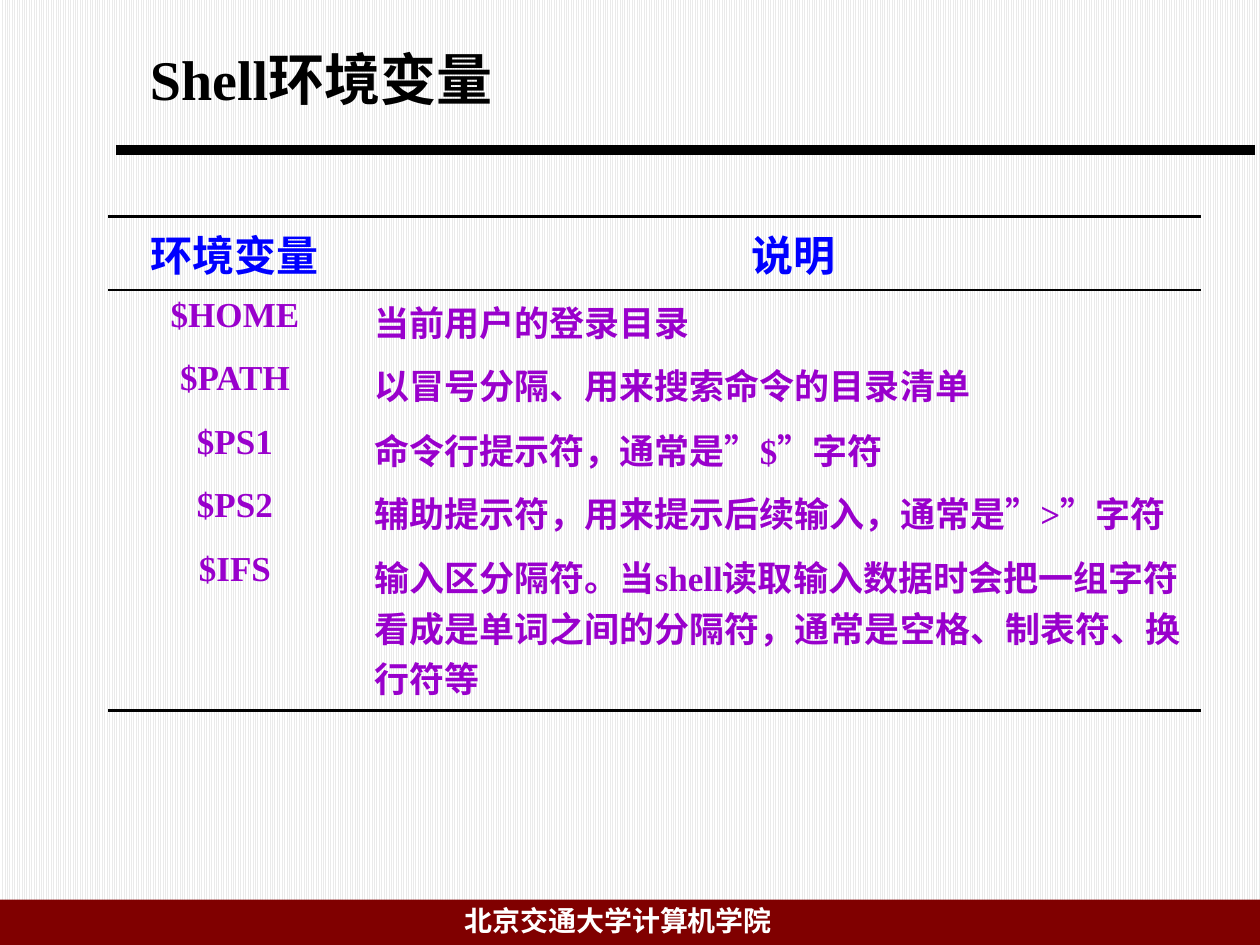
from dataclasses import dataclass

from lxml import etree
from pptx import Presentation
from pptx.dml.color import RGBColor
from pptx.enum import dml, lang, shapes, text
from pptx.oxml import ns
from pptx.util import Inches, Pt


@dataclass
class Theme:
    font: str = "Times New Roman"
    ink: str = "000000"
    paper: str = "FFFFFF"
    stripe: str = "EAEAEA"
    band: str = "800000"
    head: str = "0000FF"
    body: str = "9900CC"
    title_size: int = 32
    head_size: int = 24
    body_size: int = 20
    foot_size: int = 16


theme = Theme()


def write(frame, words, size, color, align=text.PP_ALIGN.LEFT):
    para = frame.paragraphs[0]
    para.alignment = align
    run = para.add_run()
    run.text = words
    font = run.font
    font.name, font.size, font.bold = theme.font, Pt(size), True
    font.color.rgb = RGBColor.from_string(color)
    font.language_id = lang.MSO_LANGUAGE_ID.SIMPLIFIED_CHINESE


def edge(cell, side, width):
    """Draw one cell border; a width of 0 hides it."""
    props = cell._tc.get_or_add_tcPr()
    line = etree.SubElement(props, ns.qn("a:ln" + side), w=str(Pt(width)))
    if width:
        fill = etree.SubElement(line, ns.qn("a:solidFill"))
        etree.SubElement(fill, ns.qn("a:srgbClr"), val=theme.ink)
    else:
        etree.SubElement(line, ns.qn("a:noFill"))


deck = Presentation()
deck.slide_width, deck.slide_height = Inches(10), Inches(7.5)
slide = deck.slides.add_slide(deck.slide_layouts[5])

# Striped background
back = slide.background.fill
back.patterned()
back.pattern = dml.MSO_PATTERN.LIGHT_VERTICAL
back.fore_color.rgb = RGBColor.from_string(theme.stripe)
back.back_color.rgb = RGBColor.from_string(theme.paper)

# Title and the rule below it
title = slide.shapes.title
title.left, title.top = Inches(1.09), Inches(0.3)
title.width, title.height = Inches(8.41), Inches(1.25)
frame = title.text_frame
frame.auto_size = text.MSO_AUTO_SIZE.NONE
frame.vertical_anchor = text.MSO_ANCHOR.TOP
write(frame, "Shell环境变量", theme.title_size, theme.ink)

rule = slide.shapes.add_connector(
    shapes.MSO_CONNECTOR.STRAIGHT,
    Inches(0.92), Inches(1.19), Inches(9.96), Inches(1.19))
rule.line.width = Pt(6)
rule.line.color.rgb = RGBColor.from_string(theme.ink)
etree.SubElement(rule._element.spPr, ns.qn("a:effectLst"))

# Footer band
band = slide.shapes.add_shape(
    shapes.MSO_SHAPE.RECTANGLE,
    Inches(0), Inches(7.14), Inches(10), Inches(0.36))
band.shadow.inherit = False
band.fill.solid()
band.fill.fore_color.rgb = RGBColor.from_string(theme.band)
band.line.fill.background()

foot = slide.shapes.add_textbox(
    Inches(3.59), Inches(7.12), Inches(3.32), Inches(0.37))
foot.text_frame.word_wrap = True
write(foot.text_frame, "北京交通大学计算机学院", theme.foot_size, theme.paper)

# Table of variables
rows = [
    ("环境变量", "说明"),
    ("$HOME", "当前用户的登录目录"),
    ("$PATH", "以冒号分隔、用来搜索命令的目录清单"),
    ("$PS1", "命令行提示符，通常是”$”字符"),
    ("$PS2", "辅助提示符，用来提示后续输入，通常是”>”字符"),
    ("$IFS", "输入区分隔符。当shell读取输入数据时会把一组字"
             "符看成是单词之间的分隔符，通常是空格、制表符、换行符等"),
]
wides = [2.01, 6.66]
highs = [0.58, 0.5, 0.51, 0.5, 0.51, 1.32]
rules = [2.25, 1, 0, 0, 0, 0, 2.25]  # widths above each row and below the last

table = slide.shapes.add_table(
    len(rows), len(wides), Inches(0.86), Inches(1.72),
    Inches(sum(wides)), Inches(sum(highs))).table
table.first_row = table.horz_banding = False
for col, wide in zip(table.columns, wides):
    col.width = Inches(wide)

for r, (pair, high) in enumerate(zip(rows, highs)):
    table.rows[r].height = Inches(high)
    size, color = ((theme.body_size, theme.body) if r
                   else (theme.head_size, theme.head))
    for c, words in enumerate(pair):
        cell = table.cell(r, c)
        center = r == 0 or c == 0
        write(cell.text_frame, words, size, color,
              text.PP_ALIGN.CENTER if center else text.PP_ALIGN.LEFT)
        for side, width in zip("LRTB", (0, 0, rules[r], rules[r + 1])):
            edge(cell, side, width)
        cell.fill.background()
table.cell(0, 1).margin_left = Inches(0.3)  # heading sits right of centre

deck.save("out.pptx")
